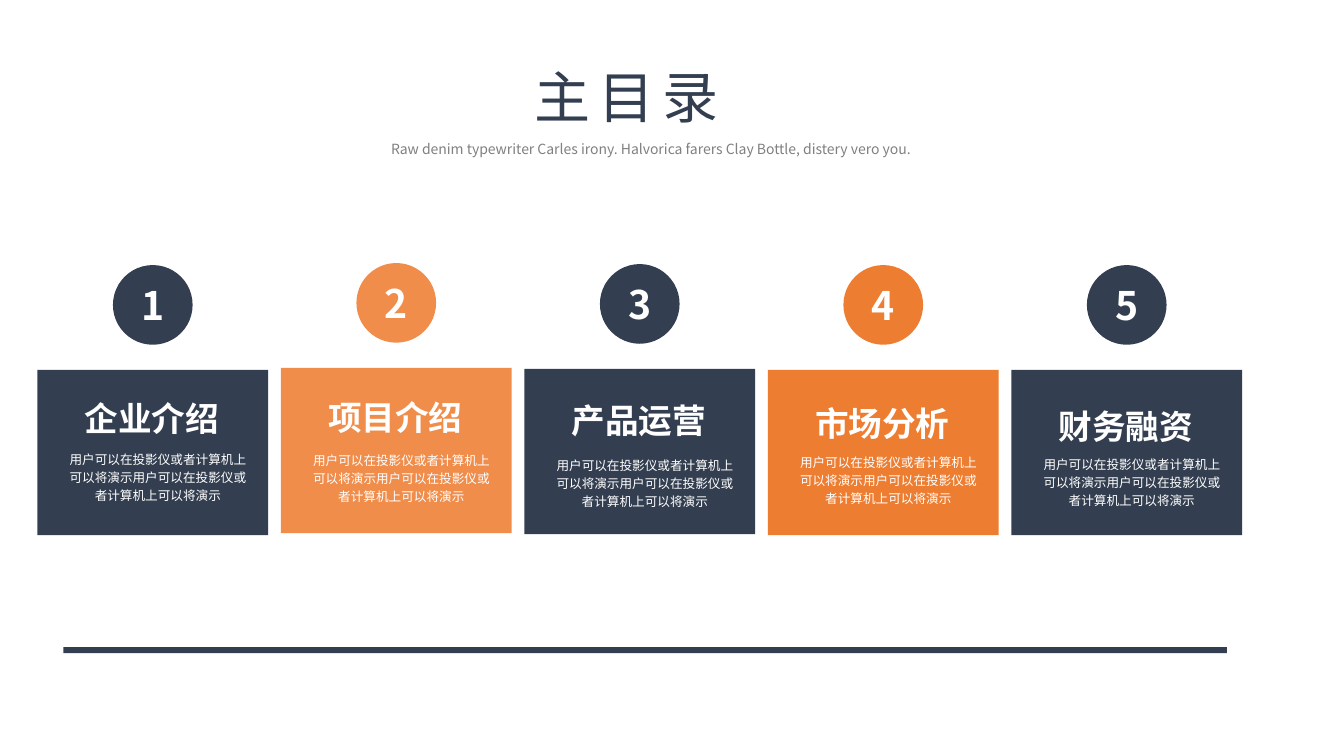
import pptx
import pptx.dml.color
import pptx.enum.shapes
import pptx.enum.text
import pptx.oxml.ns
import pptx.util
from lxml import etree

Inches = pptx.util.Inches
SHAPE = pptx.enum.shapes.MSO_SHAPE
ALIGN = pptx.enum.text.PP_ALIGN
ANCHOR = pptx.enum.text.MSO_ANCHOR
FIT = pptx.enum.text.MSO_AUTO_SIZE.SHAPE_TO_FIT_TEXT

NAVY, ORANGE, PEACH = "333F50", "ED7D31", "F08D4B"
GREY, WHITE = "808080", "FFFFFF"


def color(value):
    return pptx.dml.color.RGBColor.from_string(value)


class Deck:
    font = "Noto Sans CJK SC"

    def __init__(self, width, height):
        self.prs = pptx.Presentation()
        self.prs.slide_width = Inches(width)
        self.prs.slide_height = Inches(height)
        self.s = self.prs.slides.add_slide(self.prs.slide_layouts[6])

    def fill_text(self, sp, text, size, ink, bold=False, spacing=None, frame=None, para=None):
        tf = sp.text_frame
        frame_format = {"word_wrap": True, "vertical_anchor": ANCHOR.TOP, "auto_size": FIT}
        for name, value in (frame_format | (frame or {})).items():
            setattr(tf, name, value)
        p = tf.paragraphs[0]
        for name, value in (para or {}).items():
            setattr(p, name, value)
        r = p.add_run()
        r.text = text
        r.font.color.rgb = color(ink)
        for name, value in {"size": pptx.util.Pt(size), "bold": bold, "name": self.font}.items():
            setattr(r.font, name, value)
        rPr = r._r.get_or_add_rPr()
        etree.SubElement(rPr, pptx.oxml.ns.qn("a:ea"), typeface=self.font)
        if spacing:
            rPr.set("spc", str(spacing * 100))

    def text(self, box, text, size, ink, **style):
        sp = self.s.shapes.add_textbox(*map(Inches, box))
        self.fill_text(sp, text, size, ink, **style)

    def shape(self, kind, box, fill):
        sp = self.s.shapes.add_shape(kind, *map(Inches, box))
        sp.shadow.inherit = False
        sp.fill.solid()
        sp.fill.fore_color.rgb = color(fill)
        sp.line.fill.background()
        return sp

    def label(self, box, fill, text, size, bold=False):
        sp = self.shape(SHAPE.RECTANGLE, box, fill)
        self.fill_text(sp, text, size, WHITE, bold=bold,
                       para={"alignment": ALIGN.CENTER, "line_spacing": 1.2})

    def badge(self, box, fill, text):
        sp = self.shape(SHAPE.OVAL, box, fill)
        self.fill_text(sp, text, 28, WHITE, bold=True, para={"alignment": ALIGN.CENTER},
                       frame={"vertical_anchor": ANCHOR.MIDDLE,
                              "auto_size": pptx.enum.text.MSO_AUTO_SIZE.NONE})

    def card(self, number, left, top, heading_top, body_top, fill, heading, body):
        self.shape(SHAPE.RECTANGLE, (left, top, 2.29, 1.64), fill)
        self.label((left + 0.18, body_top, 2.03, 0.71), fill, body, 9)
        self.label((left + 0.06, heading_top, 2.15, 0.58), fill, heading, 24, bold=True)
        self.badge((left + 0.75, top - 1.04, 0.79, 0.79), fill, str(number))


def main():
    deck = Deck(13.33, 7.5)
    deck.text((5.2, 0.57, 2.93, 0.77), "主目录", 40, NAVY, spacing=6,
              para={"alignment": ALIGN.JUSTIFY})
    deck.text((3.78, 1.34, 5.78, 0.27),
              "Raw denim typewriter Carles irony. Halvorica farers Clay Bottle, distery vero you.",
              10, GREY)
    deck.shape(SHAPE.RECTANGLE, (0.63, 6.42, 11.54, 0.06), NAVY)

    body = "用户可以在投影仪或者计算机上可以将演示" * 2
    cards = [
        ("企业介绍", NAVY, 3.67, 3.82, 4.4),
        ("项目介绍", PEACH, 3.65, 3.81, 4.41),
        ("产品运营", NAVY, 3.66, 3.84, 4.46),
        ("市场分析", ORANGE, 3.67, 3.87, 4.43),
        ("财务融资", NAVY, 3.67, 3.9, 4.45),
    ]
    pitch = (10.03 - 0.37) / (len(cards) - 1)
    for i, (heading, fill, top, heading_top, body_top) in enumerate(cards):
        deck.card(i + 1, 0.37 + i * pitch, top, heading_top, body_top, fill, heading, body)

    deck.prs.save("out.pptx")


if __name__ == "__main__":
    main()
